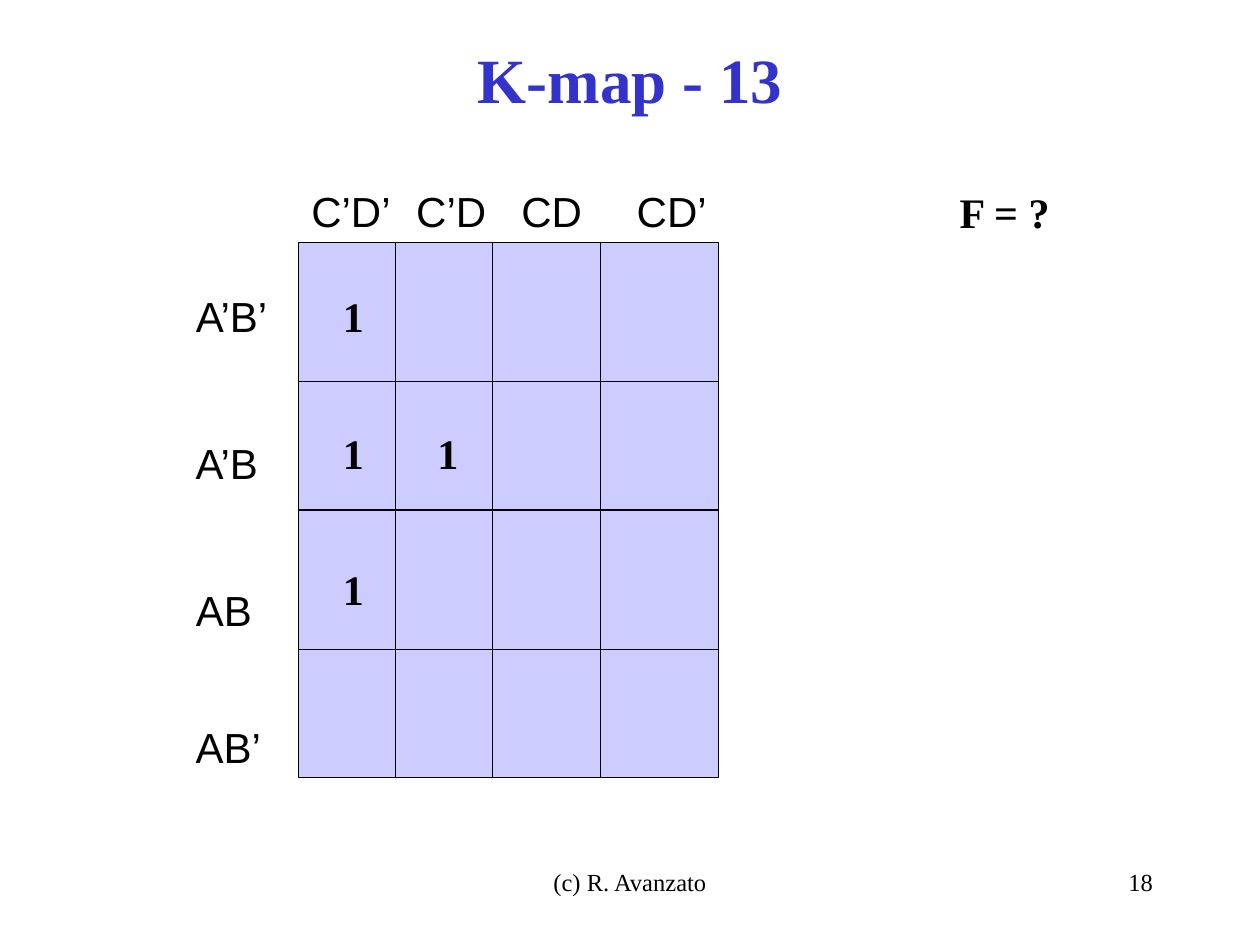
import pptx
import pptx.dml.color
import pptx.enum.shapes
import pptx.enum.text
import pptx.oxml.ns
import pptx.util
from lxml import etree

Pt = pptx.util.Pt
ALIGN = pptx.enum.text.PP_ALIGN
ANCHOR = pptx.enum.text.MSO_ANCHOR
AUTO_SIZE = pptx.enum.text.MSO_AUTO_SIZE
COLORS = {"title": "3333CC", "cell": "CCCCFF", "ink": "000000"}
SERIF = "Times New Roman"


def color(name):
    return pptx.dml.color.RGBColor.from_string(COLORS[name])


def add_text(text, left, top, width, height=36, size=24, font=SERIF, bold=False,
             ink="ink", align=ALIGN.LEFT, anchor=ANCHOR.TOP, wrap=False):
    box = slide.shapes.add_textbox(Pt(left), Pt(top), Pt(width), Pt(height))
    frame = box.text_frame
    frame.word_wrap = wrap
    frame.auto_size = AUTO_SIZE.NONE if wrap else AUTO_SIZE.SHAPE_TO_FIT_TEXT
    frame.vertical_anchor = anchor
    frame.text = text
    paragraph = frame.paragraphs[0]
    paragraph.alignment = align
    run = paragraph.runs[0]
    run.font.name = font
    run.font.size = Pt(size)
    run.font.bold = bold
    run.font.color.rgb = color(ink)


presentation = pptx.Presentation()
presentation.slide_width = Pt(720)
presentation.slide_height = Pt(540)
slide = presentation.slides.add_slide(presentation.slide_layouts[6])

add_text("K-map - 13", 54, 0, 612, 90, size=36, bold=True, ink="title",
         align=ALIGN.CENTER, anchor=ANCHOR.MIDDLE, wrap=True)

column_labels = [("C’D’", 170.8, 60), ("C’D", 230.8, 55), ("CD", 290.8, 50), ("CD’", 356.8, 55)]
for text, left, width in column_labels:
    add_text(text, left, 102.5, width, font="Arial")

map_left, map_top, map_width, half_height = 170.5, 138.5, 240, 153
column_lines = [226, 281.5, 343]
row_offset = 79.5
for half in range(2):
    top = map_top + half * half_height
    bottom = top + half_height
    block = slide.shapes.add_shape(
        pptx.enum.shapes.MSO_SHAPE.RECTANGLE,
        Pt(map_left), Pt(top), Pt(map_width), Pt(half_height))
    block.shadow.inherit = False
    block.fill.solid()
    block.fill.fore_color.rgb = color("cell")
    block.line.color.rgb = color("ink")
    block.line.width = Pt(0.75)

    row_line = top + row_offset
    dividers = [(map_left, row_line, map_left + map_width, row_line)]
    dividers += [(x, top, x, bottom) for x in column_lines]
    for ends in dividers:
        divider = slide.shapes.add_connector(
            pptx.enum.shapes.MSO_CONNECTOR.STRAIGHT, *[Pt(value) for value in ends])
        divider.line.color.rgb = color("ink")
        divider.line.width = Pt(0.75)
        etree.SubElement(divider.element.spPr, pptx.oxml.ns.qn("a:effectLst"))

row_labels = [("A’B’", 162.5, 57), ("A’B", 246.5, 53), ("AB", 330.5, 48), ("AB’", 408.5, 53)]
for text, top, width in row_labels:
    add_text(text, 104.8, top, width, font="Arial")

one_lefts = [188.8, 242.8]
one_top, one_step = 162.5, 78
for row, column in [(0, 0), (1, 0), (2, 0), (1, 1)]:
    add_text("1", one_lefts[column], one_top + row * one_step, 26.5, bold=True)

add_text("F = ?", 541.3, 103, 66.5, bold=True)
add_text("(c) R. Avanzato", 246, 492, 228, size=14, align=ALIGN.CENTER, wrap=True)
add_text("18", 516, 492, 150, size=14, align=ALIGN.RIGHT, wrap=True)

presentation.save("out.pptx")
